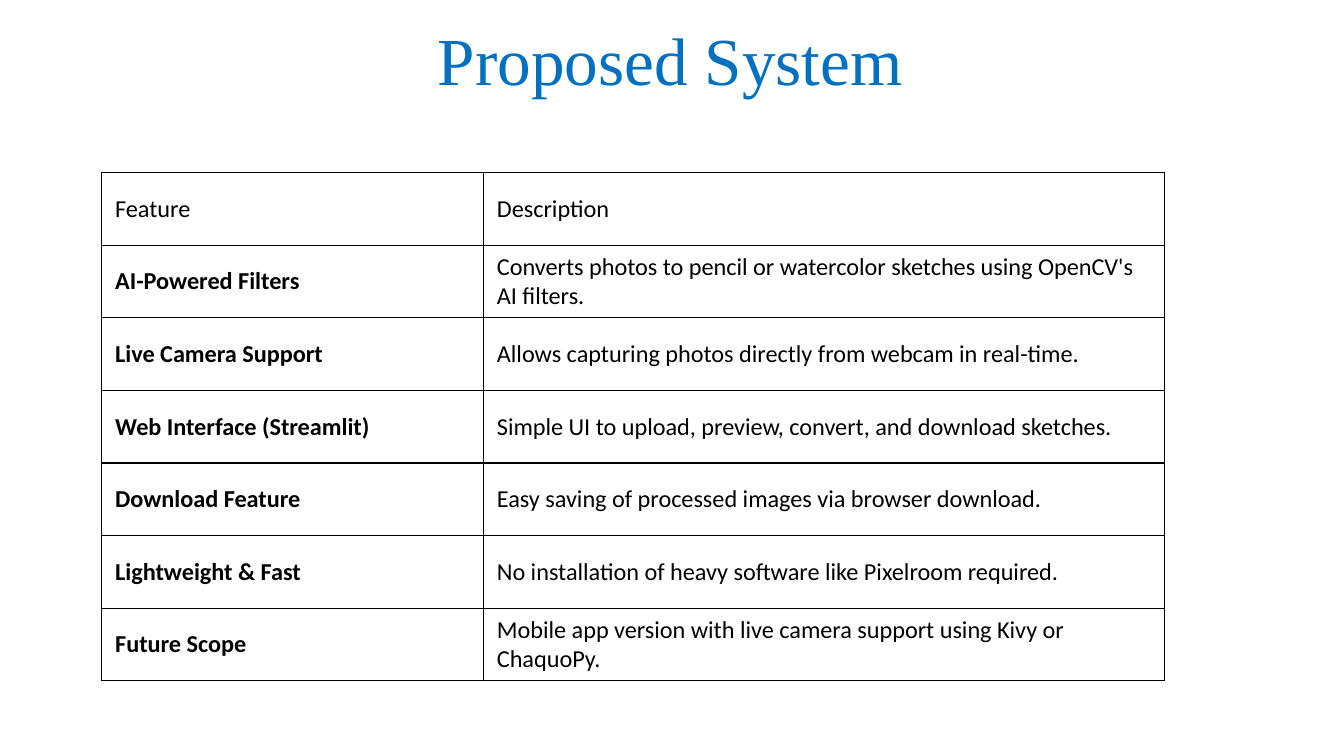
from lxml import etree
from pptx import Presentation
from pptx.dml.color import RGBColor
from pptx.enum.text import MSO_ANCHOR, MSO_AUTO_SIZE
from pptx.oxml.ns import qn
from pptx.util import Pt

MIDDLE = MSO_ANCHOR.MIDDLE
GROW = MSO_AUTO_SIZE.SHAPE_TO_FIT_TEXT

FEATURES = [
    ("Feature", "Description"),
    ("AI-Powered Filters",
     "Converts photos to pencil or watercolor sketches using OpenCV's AI filters."),
    ("Live Camera Support",
     "Allows capturing photos directly from webcam in real-time."),
    ("Web Interface (Streamlit)",
     "Simple UI to upload, preview, convert, and download sketches."),
    ("Download Feature",
     "Easy saving of processed images via browser download."),
    ("Lightweight & Fast",
     "No installation of heavy software like Pixelroom required."),
    ("Future Scope",
     "Mobile app version with live camera support using Kivy or ChaquoPy."),
]


def color(value):
    return RGBColor.from_string(value)


class SlideBuilder:
    title_font, title_size, title_color = "Times New Roman", 36, "0070C0"
    body_font, body_size, body_color = "Calibri", 13, "000000"
    border_color, border_width = "000000", 0.75

    def __init__(self, slide):
        self.slide = slide

    def style(self, paragraph, name, size, hex_color, bold=False):
        font = paragraph.font
        font.name, font.size, font.bold = name, Pt(size), bold
        font.color.rgb = color(hex_color)

    def title(self, text, left, top, width, height):
        shape = self.slide.shapes.add_textbox(Pt(left), Pt(top), Pt(width), Pt(height))
        frame = shape.text_frame
        frame.word_wrap = True
        frame.auto_size = GROW
        frame.text = text
        self.style(frame.paragraphs[0], self.title_font, self.title_size, self.title_color)

    def table(self, rows, left, top, column_widths, row_height):
        shape = self.slide.shapes.add_table(
            len(rows), len(column_widths), Pt(left), Pt(top),
            Pt(sum(column_widths)), Pt(row_height * len(rows)))
        table = shape.table
        table.first_row = table.horz_banding = False
        for column, width in zip(table.columns, column_widths):
            column.width = Pt(width)
        for row_index, texts in enumerate(rows):
            table.rows[row_index].height = Pt(row_height)
            for column_index, text in enumerate(texts):
                # Feature names are bold, the header row is not
                bold = row_index > 0 and column_index == 0
                self.cell(table.cell(row_index, column_index), text, bold)

    def cell(self, cell, text, bold):
        cell.text = text
        cell.vertical_anchor = MIDDLE
        self.style(cell.text_frame.paragraphs[0], self.body_font, self.body_size,
                   self.body_color, bold)
        self.borders(cell)
        cell.fill.background()

    def borders(self, cell):
        properties = cell._tc.get_or_add_tcPr()
        for side in ("a:lnL", "a:lnR", "a:lnT", "a:lnB"):
            line = etree.SubElement(properties, qn(side), w=str(Pt(self.border_width)))
            fill = etree.SubElement(line, qn("a:solidFill"))
            etree.SubElement(fill, qn("a:srgbClr"), val=self.border_color)


def main():
    presentation = Presentation()
    presentation.slide_width, presentation.slide_height = Pt(720), Pt(405)
    builder = SlideBuilder(presentation.slides.add_slide(presentation.slide_layouts[6]))

    # Heading
    builder.title("Proposed System", 227.5, 6.5, 360, 51)

    # Feature table
    builder.table(FEATURES, 54.5, 92.5, (204.5, 365), 38.9)

    presentation.save("out.pptx")


if __name__ == "__main__":
    main()
